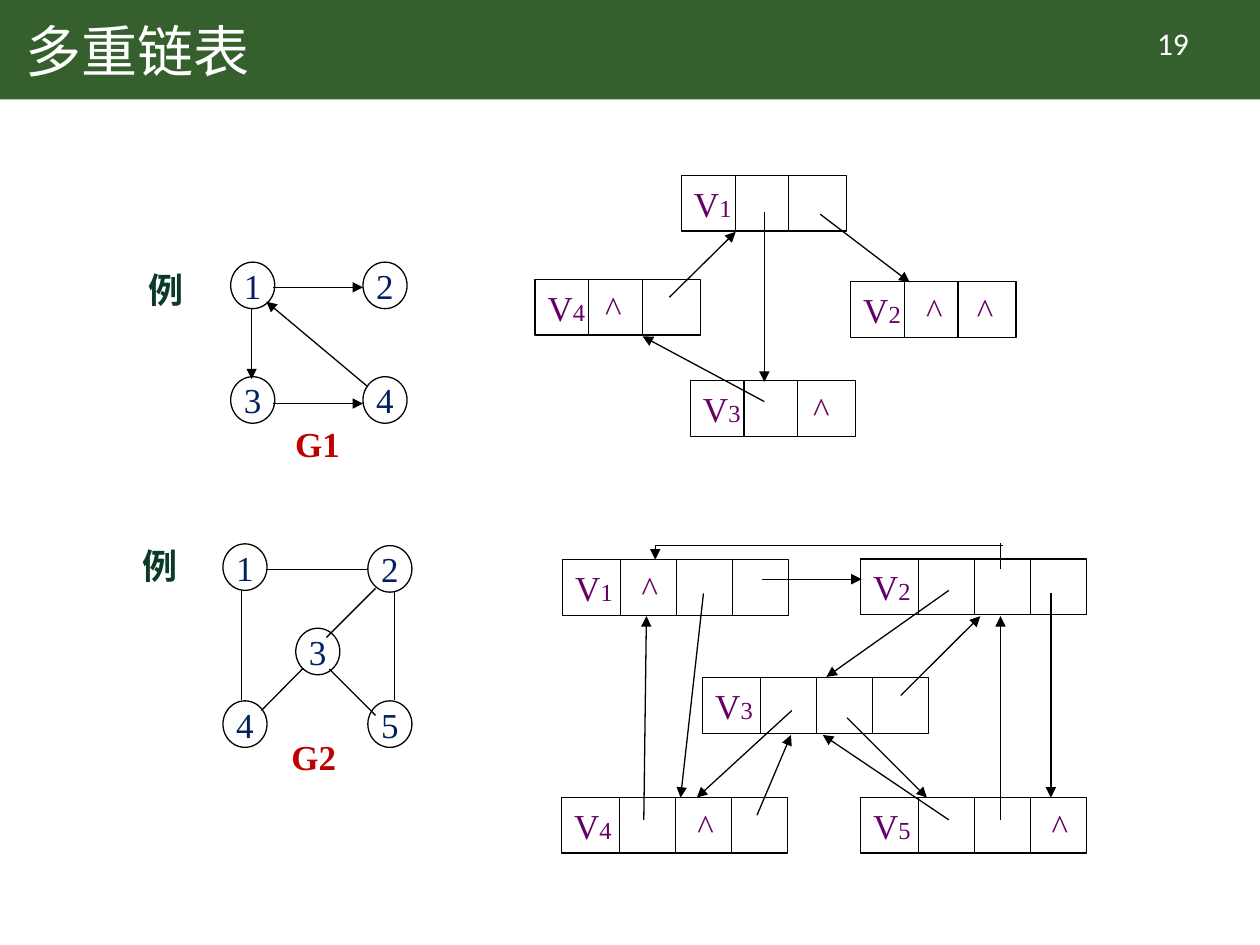
from dataclasses import dataclass

from lxml.etree import SubElement
from pptx import Presentation
from pptx.dml.color import RGBColor
from pptx.enum.shapes import MSO_CONNECTOR, MSO_SHAPE
from pptx.enum.text import MSO_ANCHOR, PP_ALIGN
from pptx.oxml.ns import qn
from pptx.util import Pt

SERIF = "Times New Roman"
SANS = "Calibri"
CHINESE = "Noto Sans CJK SC"
BLACK, WHITE, GREEN = "000000", "FFFFFF", "365F2E"
NAVY, PURPLE, RED, DARK_GREEN = "002060", "660066", "C00000", "0B3B27"


@dataclass(frozen=True)
class RecordStyle:
    width: float
    dividers: tuple[float, ...]
    height: float = 31.8


@dataclass(frozen=True)
class Record:
    number: str
    left: float
    top: float
    style: RecordStyle
    carets: tuple[float, ...] = ()


@dataclass(frozen=True)
class Vertex:
    number: str
    left: float
    top: float


@dataclass(frozen=True)
class Link:
    start: tuple[float, float]
    end: tuple[float, float]
    arrow: bool = True


@dataclass(frozen=True)
class Label:
    text: str
    left: float
    top: float
    width: float
    height: float
    font: str
    size: float
    color: str
    bold: bool = False
    align: PP_ALIGN = PP_ALIGN.CENTER
    anchor: MSO_ANCHOR = MSO_ANCHOR.MIDDLE
    inset: float = 7.2


THREE_CELLS = RecordStyle(94.4, (30.6, 61.2))
FOUR_CELLS = RecordStyle(129, (33, 65, 97))

LABELS = [
    Label("多重链表", 0, 0, 620.6, 56.8, SANS, 32, WHITE, align=PP_ALIGN.LEFT, inset=14.4),
    Label("19", 627.1, 10.1, 86.4, 28.8, SANS, 18, WHITE, anchor=MSO_ANCHOR.TOP),
    Label("例", 77.8, 149.8, 34.6, 31.7, CHINESE, 20, DARK_GREEN, True),
    Label("G1", 161.3, 237.6, 40.3, 31.7, SERIF, 20, RED, True),
    Label("例", 74.2, 307.4, 34.6, 31.7, CHINESE, 20, DARK_GREEN, True),
    Label("G2", 159.1, 416.2, 40.3, 31.7, SERIF, 20, RED, True),
]

VERTICES = [
    Vertex("1", 131.8, 149.8),
    Vertex("2", 207.4, 149.8),
    Vertex("3", 131.8, 215.3),
    Vertex("4", 207.4, 215.3),
    Vertex("1", 127.4, 310.8),
    Vertex("2", 210.2, 311.8),
    Vertex("3", 169, 359),
    Vertex("4", 127.4, 400.5),
    Vertex("5", 210.2, 400.5),
]

RECORDS = [
    Record("1", 389.5, 100.3, THREE_CELLS),
    Record("2", 486.2, 161, THREE_CELLS, (36, 65)),
    Record("4", 305.8, 159.7, THREE_CELLS, (33,)),
    Record("3", 394.6, 217.6, THREE_CELLS, (63,)),
    Record("1", 321.6, 319.8, FOUR_CELLS, (38,)),
    Record("2", 491.8, 319.5, FOUR_CELLS),
    Record("4", 321, 455.6, FOUR_CELLS, (70.4,)),
    Record("5", 491.8, 455.6, FOUR_CELLS, (102,)),
    Record("3", 401.6, 387.3, FOUR_CELLS),
]

LINKS = [
    Link((156.2, 164.2), (207.4, 164.2)),
    Link((156.2, 230.6), (207.4, 230.6)),
    Link((143.8, 176.4), (143.8, 216.7)),
    Link((210.2, 221), (152.2, 172.4)),
    Link((151.9, 325.4), (210.2, 325.4), False),
    Link((138.2, 337.7), (138.2, 400.3), False),
    Link((225.5, 337.7), (225.5, 400.3), False),
    Link((188.2, 382.3), (214.6, 408.8), False),
    Link((214.6, 336.2), (186.5, 364.3), False),
    Link((172.8, 382.3), (149.4, 406), False),
    Link((468.7, 122.4), (519.8, 161.3)),
    Link((382.5, 169.9), (420.4, 132.5)),
    Link((436.8, 121), (436.8, 218.2)),
    Link((436.8, 229.5), (367.2, 192.2)),
    Link((402, 339.1), (388.9, 455.8)),
    Link((435.6, 331), (492.4, 331)),
    Link((571.7, 325.4), (571.7, 310.3), False),
    Link((573.1, 311.6), (374.4, 311.6), False),
    Link((374.4, 311.6), (374.4, 319.8)),
    Link((542.2, 337.4), (472.3, 386.8)),
    Link((600.5, 339.1), (600.5, 455.8)),
    Link((514.8, 397.4), (560.2, 352.1)),
    Link((484, 410.2), (529.7, 455.8)),
    Link((452.5, 406), (398.2, 455.8)),
    Link((367.9, 468.5), (369.4, 352.1)),
    Link((432.6, 465.8), (452, 420)),
    Link((571.7, 468.5), (571.7, 352.1)),
    Link((542.2, 468.5), (470.2, 420)),
]


def rgb(value: str) -> RGBColor:
    return RGBColor.from_string(value)


def style_paragraph(para, font: str, size: float, color: str, bold: bool = False) -> None:
    para.font.name = font
    para.font.size = Pt(size)
    para.font.color.rgb = rgb(color)
    para.font.bold = bold


def draw_link(page, link: Link) -> None:
    points = [Pt(value) for value in link.start + link.end]
    connector = page.shapes.add_connector(MSO_CONNECTOR.STRAIGHT, *points)
    connector.line.color.rgb = rgb(BLACK)
    connector.line.width = Pt(0.75)
    if link.arrow:
        SubElement(connector.line._get_or_add_ln(), qn("a:tailEnd"), type="triangle")
    SubElement(connector._element.spPr, qn("a:effectLst"))


def draw_outline(page, kind: MSO_SHAPE, left: float, top: float, width: float, height: float):
    shape = page.shapes.add_shape(kind, Pt(left), Pt(top), Pt(width), Pt(height))
    shape.shadow.inherit = False
    shape.fill.background()
    shape.line.color.rgb = rgb(BLACK)
    shape.line.width = Pt(0.75)
    shape.text_frame.vertical_anchor = MSO_ANCHOR.MIDDLE
    shape.text_frame.word_wrap = False
    return shape


def draw_vertex(page, vertex: Vertex) -> None:
    circle = draw_outline(page, MSO_SHAPE.OVAL, vertex.left, vertex.top, 25.2, 26.6)
    para = circle.text_frame.paragraphs[0]
    para.text = vertex.number
    para.alignment = PP_ALIGN.CENTER
    style_paragraph(para, SERIF, 20, NAVY)


def draw_record(page, record: Record) -> None:
    style = record.style
    box = draw_outline(page, MSO_SHAPE.RECTANGLE, record.left, record.top, style.width, style.height)
    box.text_frame.word_wrap = True
    para = box.text_frame.paragraphs[0]
    para.alignment = PP_ALIGN.LEFT
    if record.carets:
        tabs = SubElement(para._p.get_or_add_pPr(), qn("a:tabLst"))
        for position in record.carets:
            SubElement(tabs, qn("a:tab"), pos=str(Pt(position)), algn="l")
    style_paragraph(para, SERIF, 20, PURPLE)
    para.add_run().text = "V"
    span = para.add_run()
    span.text = record.number
    span.font.size = Pt(14)
    if record.carets:
        para.add_run().text = "\t^" * len(record.carets)
    for offset in style.dividers:
        x = record.left + offset
        draw_link(page, Link((x, record.top), (x, record.top + style.height), False))


def draw_label(page, label: Label) -> None:
    box = page.shapes.add_textbox(Pt(label.left), Pt(label.top), Pt(label.width), Pt(label.height))
    frame = box.text_frame
    frame.word_wrap = label.size != 20
    frame.vertical_anchor = label.anchor
    frame.margin_left = Pt(label.inset)
    para = frame.paragraphs[0]
    para.text = label.text
    para.alignment = label.align
    style_paragraph(para, label.font, label.size, label.color, label.bold)
    if not label.text.isascii():
        properties = para.runs[0]._r.get_or_add_rPr()
        SubElement(properties, qn("a:ea"), typeface=CHINESE)


def main() -> None:
    deck = Presentation()
    deck.slide_width, deck.slide_height = Pt(720), Pt(540)
    page = deck.slides.add_slide(deck.slide_layouts[6])
    band = draw_outline(page, MSO_SHAPE.RECTANGLE, 0, 0, 720, 56.8)
    band.fill.solid()
    band.fill.fore_color.rgb = rgb(GREEN)
    band.line.fill.background()
    for draw, items in (
        (draw_label, LABELS),
        (draw_vertex, VERTICES),
        (draw_record, RECORDS),
        (draw_link, LINKS),
    ):
        for item in items:
            draw(page, item)
    deck.save("out.pptx")


if __name__ == "__main__":
    main()
